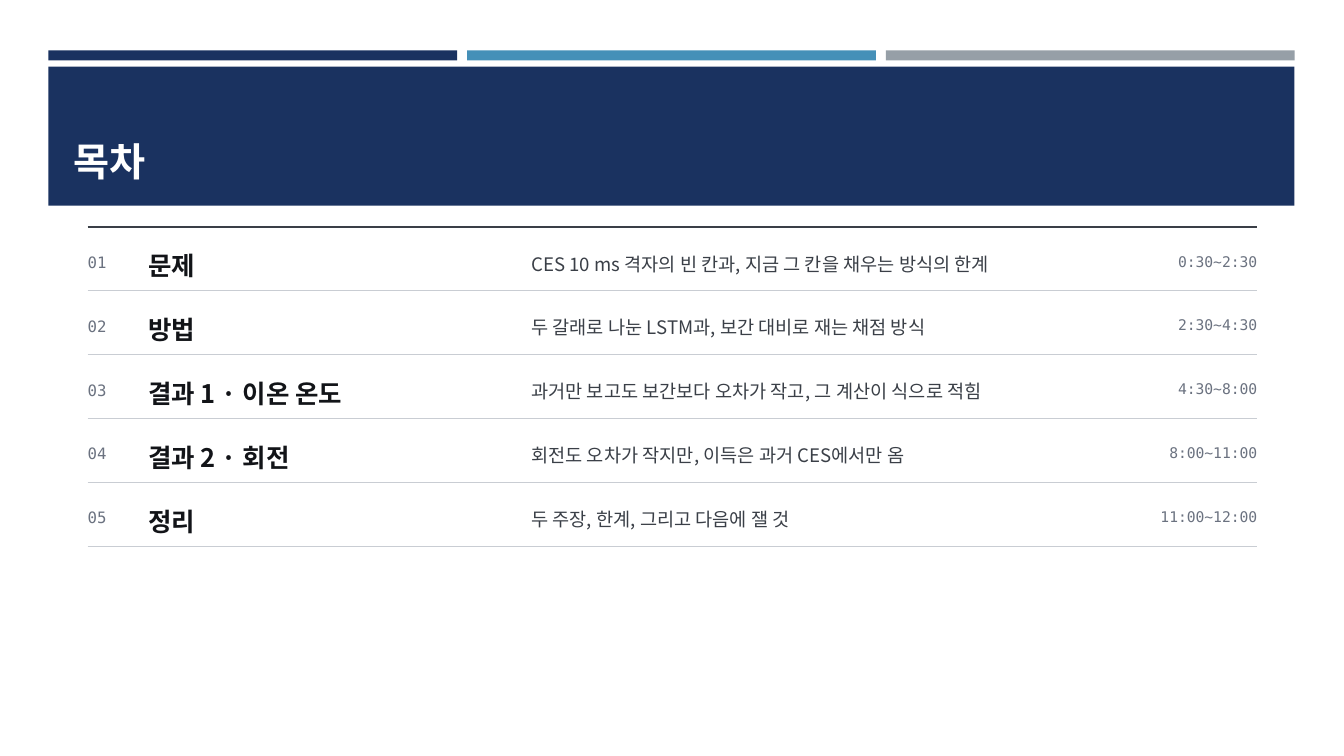
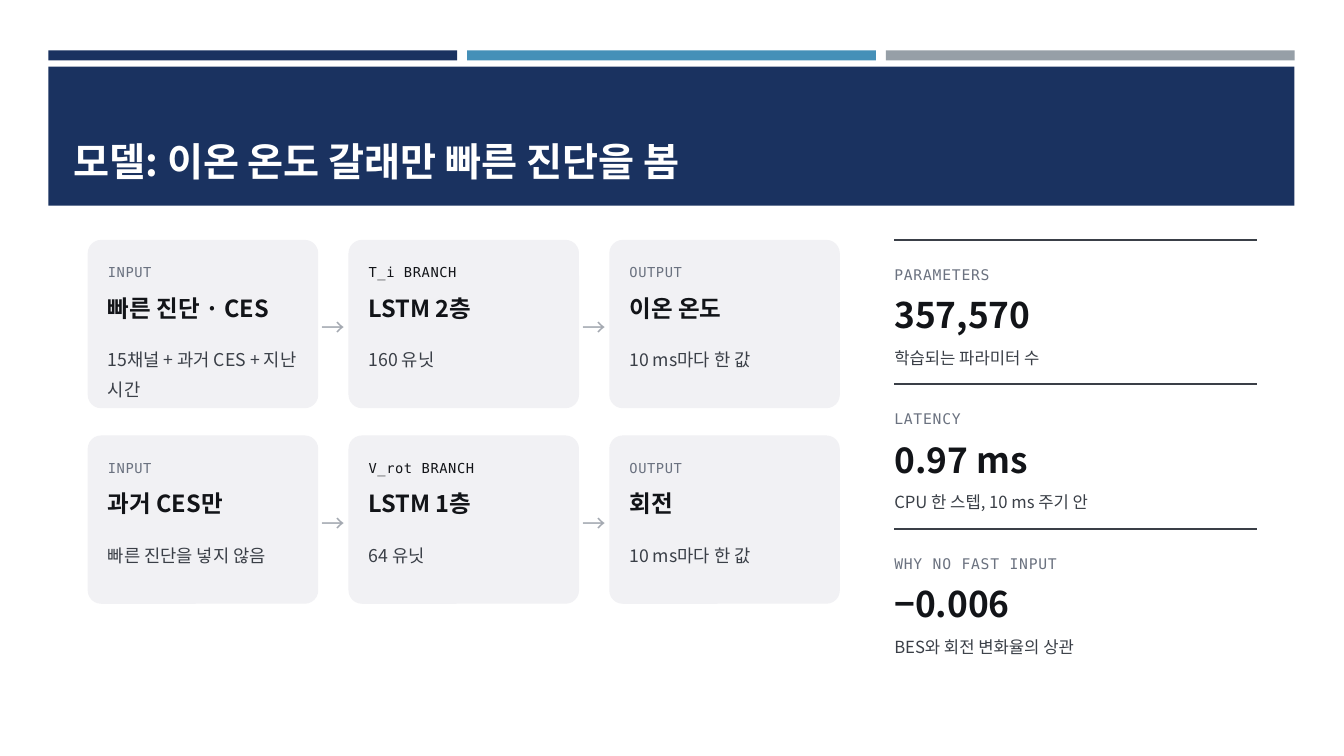
from dataclasses import dataclass, field
from lxml import etree
from pptx import Presentation
from pptx.dml.color import RGBColor
from pptx.enum.shapes import MSO_CONNECTOR, MSO_SHAPE
from pptx.enum.text import MSO_ANCHOR, PP_ALIGN
from pptx.oxml.ns import qn
from pptx.util import Inches, Pt

RECT, ROUNDED = MSO_SHAPE.RECTANGLE, MSO_SHAPE.ROUNDED_RECTANGLE
STRAIGHT = MSO_CONNECTOR.STRAIGHT
LEFT, CENTER, RIGHT = PP_ALIGN.LEFT, PP_ALIGN.CENTER, PP_ALIGN.RIGHT
TOP, MIDDLE, BOTTOM = MSO_ANCHOR.TOP, MSO_ANCHOR.MIDDLE, MSO_ANCHOR.BOTTOM

SANS, MONO = "Noto Sans CJK KR", "DejaVu Sans Mono"
NAVY, BLUE, STEEL, WHITE = "1A3260", "4590B8", "969FA7", "FFFFFF"
INK, BODY, MUTED = "121418", "3A3F47", "6B7280"
RULE, CARD, ARROW = "C9CDD3", "F1F1F4", "A4A9B1"


@dataclass(frozen=True)
class Style:
    size: float
    color: str
    name: str = SANS
    bold: bool = False
    spacing: float = 1.25
    tracking: float = 0
    align: object = LEFT
    anchor: object = TOP
    inset: tuple = (0, 0)


@dataclass(frozen=True)
class Theme:
    accents: tuple = (NAVY, BLUE, STEEL)
    band: str = NAVY
    card: str = CARD
    strong_line: tuple = (BODY, 1.25)
    soft_line: tuple = (RULE, 1)
    text: dict = field(default_factory=lambda: {
        "title": Style(28, WHITE, bold=True, spacing=1.0,
                       anchor=BOTTOM, inset=(0.1, 0.05)),
        "number": Style(11.2, MUTED, MONO),
        "topic": Style(18.2, INK, bold=True),
        "summary": Style(13.3, BODY),
        "time": Style(10.5, MUTED, MONO, align=RIGHT),
        "tag": Style(9.8, MUTED, MONO, tracking=0.4),
        "branch_tag": Style(9.8, INK, MONO, tracking=0.4),
        "card_head": Style(16.8, INK, bold=True, spacing=1.2),
        "card_body": Style(12.6, BODY, spacing=1.4),
        "arrow": Style(16.8, ARROW, align=CENTER, anchor=MIDDLE),
        "stat_tag": Style(10.5, MUTED, MONO, tracking=0.6),
        "stat_value": Style(25.2, INK, bold=True, spacing=1.0),
        "stat_note": Style(11.9, BODY, spacing=1.4),
    })


THEME = Theme()

AGENDA = [
    ("문제", "CES 10 ms 격자의 빈 칸과, 지금 그 칸을 채우는 방식의 한계", "0:30~2:30"),
    ("방법", "두 갈래로 나눈 LSTM과, 보간 대비로 재는 채점 방식", "2:30~4:30"),
    ("결과 1 · 이온 온도", "과거만 보고도 보간보다 오차가 작고, 그 계산이 식으로 적힘", "4:30~8:00"),
    ("결과 2 · 회전", "회전도 오차가 작지만, 이득은 과거 CES에서만 옴", "8:00~11:00"),
    ("정리", "두 주장, 한계, 그리고 다음에 잴 것", "11:00~12:00"),
]

BRANCHES = [
    [("INPUT", "빠른 진단 · CES", "15채널 + 과거 CES + 지난 시간"),
     ("T_i BRANCH", "LSTM 2층", "160 유닛"),
     ("OUTPUT", "이온 온도", "10 ms마다 한 값")],
    [("INPUT", "과거 CES만", "빠른 진단을 넣지 않음"),
     ("V_rot BRANCH", "LSTM 1층", "64 유닛"),
     ("OUTPUT", "회전", "10 ms마다 한 값")],
]

STATS = [
    ("PARAMETERS", "357,570", "학습되는 파라미터 수"),
    ("LATENCY", "0.97 ms", "CPU 한 스텝, 10 ms 주기 안"),
    ("WHY NO FAST INPUT", "−0.006", "BES와 회전 변화율의 상관"),
]


def add_text(s, box, text, style_name):
    style = THEME.text[style_name]
    tf = s.shapes.add_textbox(*map(Inches, box)).text_frame
    side, edge = map(Inches, style.inset)
    frame = {"word_wrap": True, "vertical_anchor": style.anchor,
             "margin_left": side, "margin_right": side,
             "margin_top": edge, "margin_bottom": edge}
    for key, value in frame.items():
        setattr(tf, key, value)
    p = tf.paragraphs[0]
    p.alignment, p.line_spacing = style.align, style.spacing
    r = p.add_run()
    r.text = text
    r.font.color.rgb = RGBColor.from_string(style.color)
    for key, value in {"size": Pt(style.size), "bold": style.bold, "name": style.name}.items():
        setattr(r.font, key, value)
    props = r.font._element if hasattr(r.font, "_element") else r._r.get_or_add_rPr()
    etree.SubElement(props, qn("a:ea")).set("typeface", style.name)
    if style.tracking:
        props.set("spc", str(round(style.tracking * 100)))


def add_block(s, box, color, shape=RECT):
    sp = s.shapes.add_shape(shape, *map(Inches, box))
    sp.shadow.inherit = False
    sp.fill.solid()
    sp.fill.fore_color.rgb = RGBColor.from_string(color)
    sp.line.fill.background()
    return sp


def add_rule(s, left, top, width, line):
    color, weight = line
    ends = map(Inches, (left, top, left + width, top))
    rule = s.shapes.add_connector(STRAIGHT, *ends)
    rule.line.color.rgb = RGBColor.from_string(color)
    rule.line.width = Pt(weight)
    etree.SubElement(rule._element.spPr, qn("a:effectLst"))


def add_header(s, box, title):
    left, top, width, height = box
    gap = 0.1
    accent_w = (width - 2 * gap) / 3
    for i, color in enumerate(THEME.accents):
        add_block(s, (left + i * (accent_w + gap), top, accent_w, 0.1), color)
    add_block(s, (left, top + 0.16, width, height - 0.16), THEME.band)
    add_text(s, (left + 0.15, top + 0.3, width - 0.3, 1.08), title, "title")


def add_agenda(s, box, rows):
    left, top, width, height = box
    pitch = height / len(rows)
    add_rule(s, left, top, width, THEME.strong_line)
    for i, (topic, summary, time) in enumerate(rows):
        y = top + i * pitch
        add_text(s, (left, y + 0.21, 0.53, 0.33), f"{i + 1:02d}", "number")
        add_text(s, (left + 0.6, y + 0.16, 3.73, 0.4), topic, "topic")
        add_text(s, (left + 4.4, y + 0.2, 5.73, 0.4), summary, "summary")
        add_text(s, (left + width - 1.6, y + 0.21, 1.6, 0.33), time, "time")
        add_rule(s, left, y + pitch, width, THEME.soft_line)


def add_card(s, box, tag, head, body):
    left, top, width, _ = box
    pad = 0.2
    x, w = left + pad, width - 2 * pad
    add_block(s, box, THEME.card, ROUNDED).adjustments[0] = 0.08
    tag_style = "branch_tag" if tag.endswith("BRANCH") else "tag"
    add_text(s, (x, top + pad, w, 0.27), tag, tag_style)
    add_text(s, (x, top + 0.48, w, 0.6), head, "card_head")
    add_text(s, (x, top + 1, w, 0.6), body, "card_body")


def add_branches(s, box, branches):
    left, top, width, height = box
    gap_x, gap_y, arrow_h = 0.3, 0.27, 0.4
    rows, cols = len(branches), len(branches[0])
    card_w = (width - gap_x * (cols - 1)) / cols
    card_h = (height - gap_y * (rows - 1)) / rows
    for i, cards in enumerate(branches):
        y = top + i * (card_h + gap_y)
        for j, card in enumerate(cards):
            x = left + j * (card_w + gap_x)
            add_card(s, (x, y, card_w, card_h), *card)
            if j:
                arrow_y = y + (card_h - arrow_h) / 2
                add_text(s, (x - gap_x, arrow_y, gap_x, arrow_h), "→", "arrow")


def add_stats(s, box, stats):
    left, top, width, height = box
    pitch = height / len(stats)
    for i, (tag, value, note) in enumerate(stats):
        y = top + i * pitch
        add_rule(s, left, y, width, THEME.strong_line)
        add_text(s, (left, y + 0.21, width, 0.23), tag, "stat_tag")
        add_text(s, (left, y + 0.53, width, 0.87), value, "stat_value")
        add_text(s, (left, y + 0.99, width, 1.2), note, "stat_note")


def add_slide(prs, title):
    s = prs.slides.add_slide(prs.slide_layouts[6])
    add_header(s, (0.48, 0.5, 12.36, 1.54), title)
    return s


def main():
    prs = Presentation()
    prs.slide_width, prs.slide_height = Inches(13.33), Inches(7.5)
    s = add_slide(prs, "목차")
    add_agenda(s, (0.87, 2.25, 11.6, 3.17), AGENDA)
    s = add_slide(prs, "모델: 이온 온도 갈래만 빠른 진단을 봄")
    add_branches(s, (0.87, 2.38, 7.46, 3.61), BRANCHES)
    add_stats(s, (8.87, 2.38, 3.6, 4.3), STATS)
    prs.save("out.pptx")


if __name__ == "__main__":
    main()
